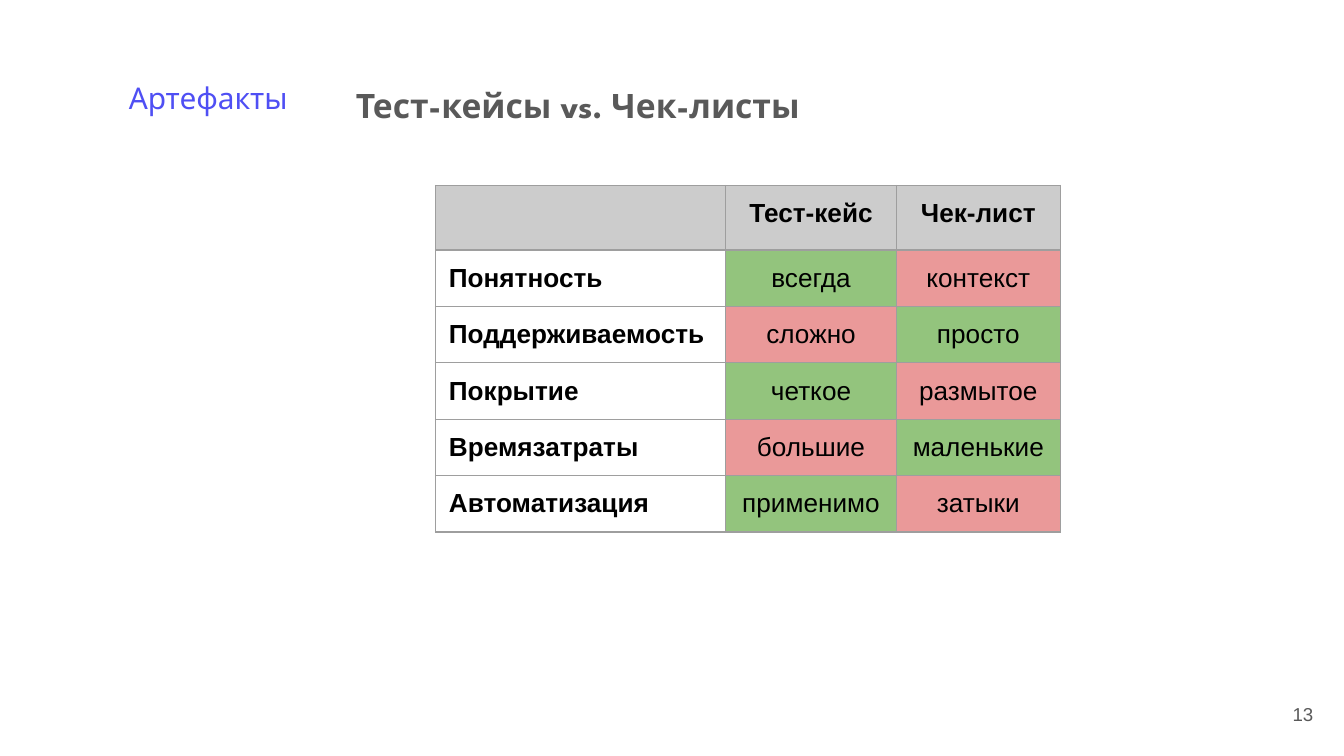
from lxml import etree
from pptx import Presentation
from pptx import util as u
from pptx.dml.color import RGBColor
from pptx.enum import text
from pptx.oxml.ns import qn

SECTION = "Артефакты"
TITLE = "Тест-кейсы vs. Чек-листы"
PAGE = "13"
HEADER = ("", "Тест-кейс", "Чек-лист")
# criterion, test case, checklist, column of the better option
CRITERIA = [
    ("Понятность", "всегда", "контекст", 1),
    ("Поддерживаемость", "сложно", "просто", 2),
    ("Покрытие", "четкое", "размытое", 1),
    ("Времязатраты", "большие", "маленькие", 2),
    ("Автоматизация", "применимо", "затыки", 1),
]

THEME = {
    "display": "League Spartan", "body": "Arial",
    "accent": "4F4FF4", "muted": "595959", "ink": "000000",
    "header": "CCCCCC", "good": "93C47D", "bad": "EA9999", "border": "9E9E9E",
    "section_size": 16, "title_size": 18, "table_size": 14, "page_size": 10,
}
SLIDE_W = 10
SLIDE_H = SLIDE_W * 9 / 16
INSET, CELL_BOTTOM = 0.1, 0.08
TOP = 0.49
SECTION_BOX = (0.86, TOP, 1.69, 1.12)
TITLE_BOX = (SECTION_BOX[0] + SECTION_BOX[2], TOP, 6.05, 0.9)
PAGE_BOX = (9.27, 5.1, 0.6, 0.43)
TABLE_BOX = (3.24, 1.38, 3.28, 3.28)
COL_WIDTHS = (2.16, 1.27, 1.22)
ROW_H = 0.42
BORDER_PT = 0.75


def color(name):
    return RGBColor.from_string(THEME[name])


def write(tf, content, size, ink="ink", font="body", bold=False,
          align=text.PP_ALIGN.LEFT, spacing=None, after=None):
    p = tf.paragraphs[0]
    p.alignment = align
    if spacing:
        p.line_spacing = spacing
    if after:
        p.space_after = u.Pt(after)
    r = p.add_run()
    r.text = content
    r.font.name = THEME[font]
    r.font.size = u.Pt(THEME[size])
    r.font.bold = bold
    r.font.color.rgb = color(ink)


def set_insets(target, bottom=INSET):
    for side in ("left", "top", "right"):
        setattr(target, f"margin_{side}", u.Inches(INSET))
    target.margin_bottom = u.Inches(bottom)


def add_text(s, box, content, size, anchor=text.MSO_ANCHOR.TOP, **fmt):
    tf = s.shapes.add_textbox(*map(u.Inches, box)).text_frame
    tf.word_wrap = True
    tf.vertical_anchor = anchor
    set_insets(tf)
    write(tf, content, size, **fmt)


def add_borders(cell):
    props = cell._tc.get_or_add_tcPr()
    for i, side in enumerate(("lnL", "lnR", "lnT", "lnB")):
        ln = etree.Element(qn(f"a:{side}"), w=str(u.Pt(BORDER_PT)))
        fill = etree.SubElement(ln, qn("a:solidFill"))
        etree.SubElement(fill, qn("a:srgbClr"), val=THEME["border"])
        props.insert(i, ln)


def cell_fill(i, j):
    """Theme colour of a cell, or None for the criterion names."""
    if i == 0:
        return "header"
    if j == 0:
        return None
    return "good" if CRITERIA[i - 1][3] == j else "bad"


def add_comparison(s):
    rows = [HEADER] + [row[:3] for row in CRITERIA]
    table = s.shapes.add_table(
        len(rows), len(COL_WIDTHS), *map(u.Inches, TABLE_BOX)).table
    table.horz_banding = False
    for column, width in zip(table.columns, COL_WIDTHS):
        column.width = u.Inches(width)
    for row in table.rows:
        row.height = u.Inches(ROW_H)
    # column and row sizes above leave the frame's own size to be set last
    frame = s.shapes[-1]
    frame.width, frame.height = map(u.Inches, TABLE_BOX[2:])
    for i, row in enumerate(rows):
        for j, content in enumerate(row):
            cell = table.cell(i, j)
            set_insets(cell, CELL_BOTTOM)
            fill = cell_fill(i, j)
            if fill:
                cell.fill.solid()
                cell.fill.fore_color.rgb = color(fill)
            else:
                cell.fill.background()
            add_borders(cell)
            if content:
                write(cell.text_frame, content, "table_size",
                      bold=i == 0 or j == 0,
                      align=text.PP_ALIGN.CENTER if j else text.PP_ALIGN.LEFT)


def main():
    prs = Presentation()
    prs.slide_width, prs.slide_height = u.Inches(SLIDE_W), u.Inches(SLIDE_H)
    s = prs.slides.add_slide(prs.slide_layouts[6])
    add_text(s, SECTION_BOX, SECTION, "section_size", ink="accent", font="display")
    add_text(s, TITLE_BOX, TITLE, "title_size", ink="muted", font="display",
             bold=True, spacing=1.15, after=16)
    add_text(s, PAGE_BOX, PAGE, "page_size", ink="muted",
             anchor=text.MSO_ANCHOR.MIDDLE, align=text.PP_ALIGN.RIGHT)
    add_comparison(s)
    prs.save("out.pptx")


if __name__ == "__main__":
    main()
